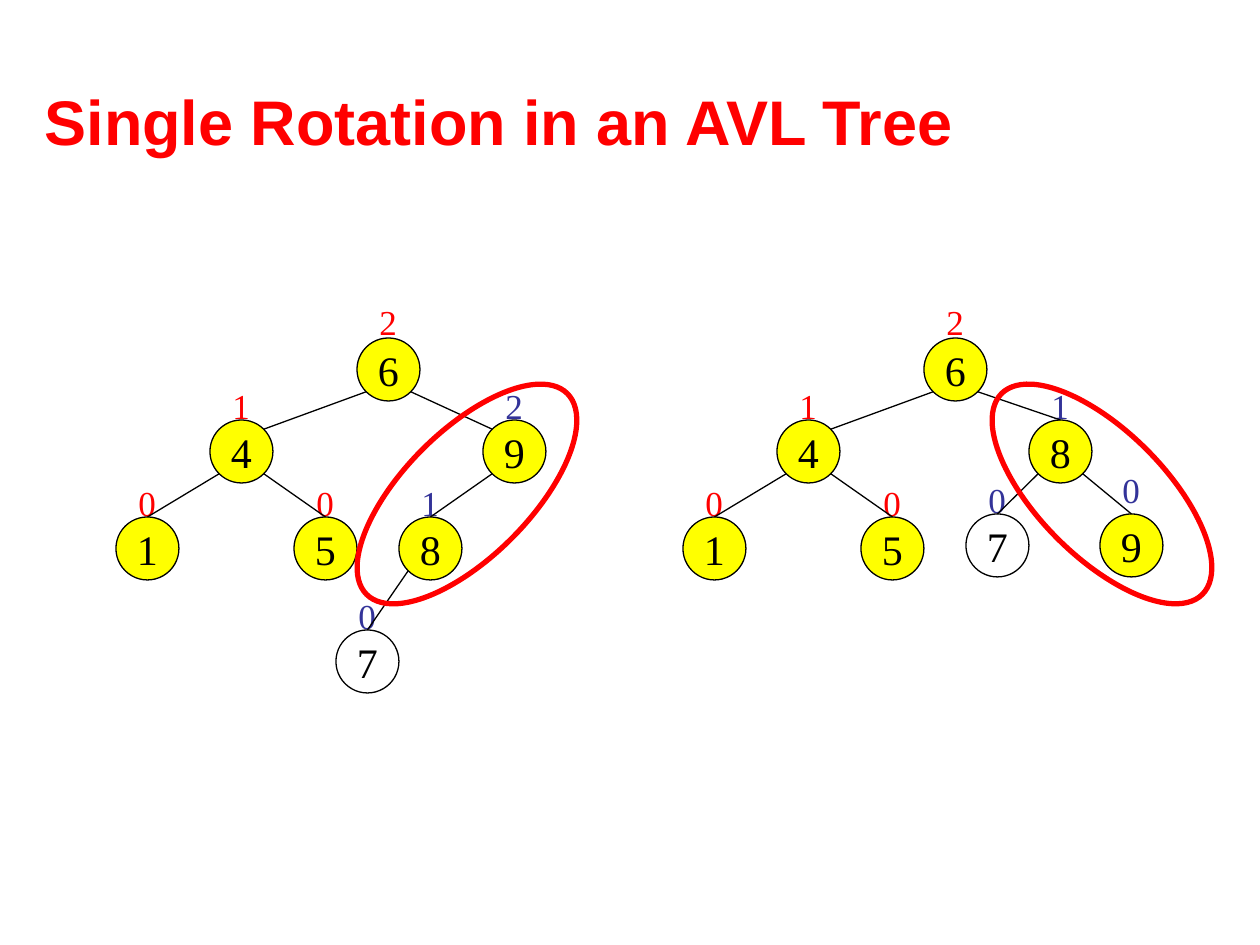
"""Build a slide showing an AVL tree before and after a single rotation."""
from math import sqrt

from pptx import Presentation
from pptx import util as u
from pptx.dml.color import RGBColor
from pptx.enum import shapes, text
from pptx.oxml.ns import qn

PX = u.Inches(1) // 126
RED, BLUE, YELLOW, BLACK = "FF0000", "333399", "FFFF00", "000000"
SERIF = "Times New Roman"
NODE = 63
LABEL_W, LABEL_H, LABEL_DX = 43, 54, 10

TITLE = "Single Rotation in an AVL Tree"
SHARED_NODES = {
    "6": (357, 338, YELLOW, "2", RED, 44),
    "4": (210, 420, YELLOW, "1", RED, 42),
    "1": (116, 517, YELLOW, "0", RED, 42),
    "5": (294, 517, YELLOW, "0", RED, 42),
}
SHARED_EDGES = [("6", "4", "corner"), ("4", "1", "top"), ("4", "5", "top")]
TREES = [
    {
        "left": 0,
        "nodes": {
            "9": (483, 420, YELLOW, "2", BLUE, 42),
            "8": (399, 517, YELLOW, "1", BLUE, 42),
            "7": (336, 630, None, "0", BLUE, 42),
        },
        "edges": [("6", "9", "corner"), ("9", "8", "top"), ("8", "7", "top")],
        "ring": (325, 431, 315),
    },
    {
        "left": 567,
        "nodes": {
            "8": (462, 420, YELLOW, "1", BLUE, 42),
            "9": (533, 514, YELLOW, "0", BLUE, 52),
            "7": (399, 514, None, "0", BLUE, 42),
        },
        "edges": [("6", "8", "top"), ("8", "9", "top"), ("8", "7", "top")],
        "ring": (393, 431, 45),
    },
]


def px(*lengths):
    return [u.Emu(round(n * PX)) for n in lengths]


def rgb(value):
    return RGBColor.from_string(value)


def write(sp, words, size, color, font=SERIF, bold=False, align=text.PP_ALIGN.LEFT,
          anchor=text.MSO_ANCHOR.TOP, wrap=False, fit=text.MSO_AUTO_SIZE.NONE):
    tf = sp.text_frame
    tf.word_wrap, tf.auto_size, tf.vertical_anchor = wrap, fit, anchor
    p = tf.paragraphs[0]
    p.alignment = align
    r = p.add_run()
    r.text = words
    r.font.size, r.font.name, r.font.bold = u.Pt(size), font, bold
    r.font.color.rgb = rgb(color)


def outline(sp, color, width):
    sp.line.color.rgb = rgb(color)
    sp.line.width = u.Pt(width)


def add_ellipse(s, x, y, w, h, fill, color, width):
    sp = s.shapes.add_shape(shapes.MSO_SHAPE.OVAL, *px(x, y, w, h))
    sp.shadow.inherit = False
    if fill:
        sp.fill.solid()
        sp.fill.fore_color.rgb = rgb(fill)
    else:
        sp.fill.background()
    outline(sp, color, width)
    return sp


def add_edge(s, parent, child, end, left):
    side = 1 if child[0] > parent[0] else -1
    radius = NODE / 2
    reach = radius / sqrt(2)
    x1, y1 = parent[0] + radius + side * reach, parent[1] + radius + reach
    x2, y2 = child[0] + radius, child[1]
    if end == "corner":
        x2, y2 = x2 - side * reach, y2 + radius - reach
    line = s.shapes.add_connector(shapes.MSO_CONNECTOR.STRAIGHT,
                                  *px(left + x1, y1, left + x2, y2))
    outline(line, BLACK, 0.75)
    sp_pr = line._element.spPr
    sp_pr.append(sp_pr.makeelement(qn("a:effectLst"), {}))


def add_tree(s, tree):
    left = tree["left"]
    nodes = {**SHARED_NODES, **tree["nodes"]}
    for key, (x, y, fill, height, color, rise) in nodes.items():
        label = s.shapes.add_textbox(*px(left + x + LABEL_DX, y - rise, LABEL_W, LABEL_H))
        write(label, height, 20, color, fit=text.MSO_AUTO_SIZE.SHAPE_TO_FIT_TEXT)
        node = add_ellipse(s, left + x, y, NODE, NODE, fill, BLACK, 0.75)
        write(node, key, 24, BLACK, align=text.PP_ALIGN.CENTER,
              anchor=text.MSO_ANCHOR.MIDDLE)
    for parent, child, end in SHARED_EDGES + tree["edges"]:
        add_edge(s, nodes[parent], nodes[child], end, left)
    x, y, angle = tree["ring"]
    ring = add_ellipse(s, left + x, y, 284, 126, None, RED, 3)
    ring.rotation = angle


prs = Presentation()
prs.slide_width, prs.slide_height = px(1260, 945)
s = prs.slides.add_slide(prs.slide_layouts[5])
title = s.shapes.title
title.left, title.top, title.width, title.height = px(32, 73, 1134, 95)
write(title, TITLE, 36, RED, font="Arial", bold=True,
      anchor=text.MSO_ANCHOR.MIDDLE, wrap=True)
for tree in TREES:
    add_tree(s, tree)
prs.save("out.pptx")
